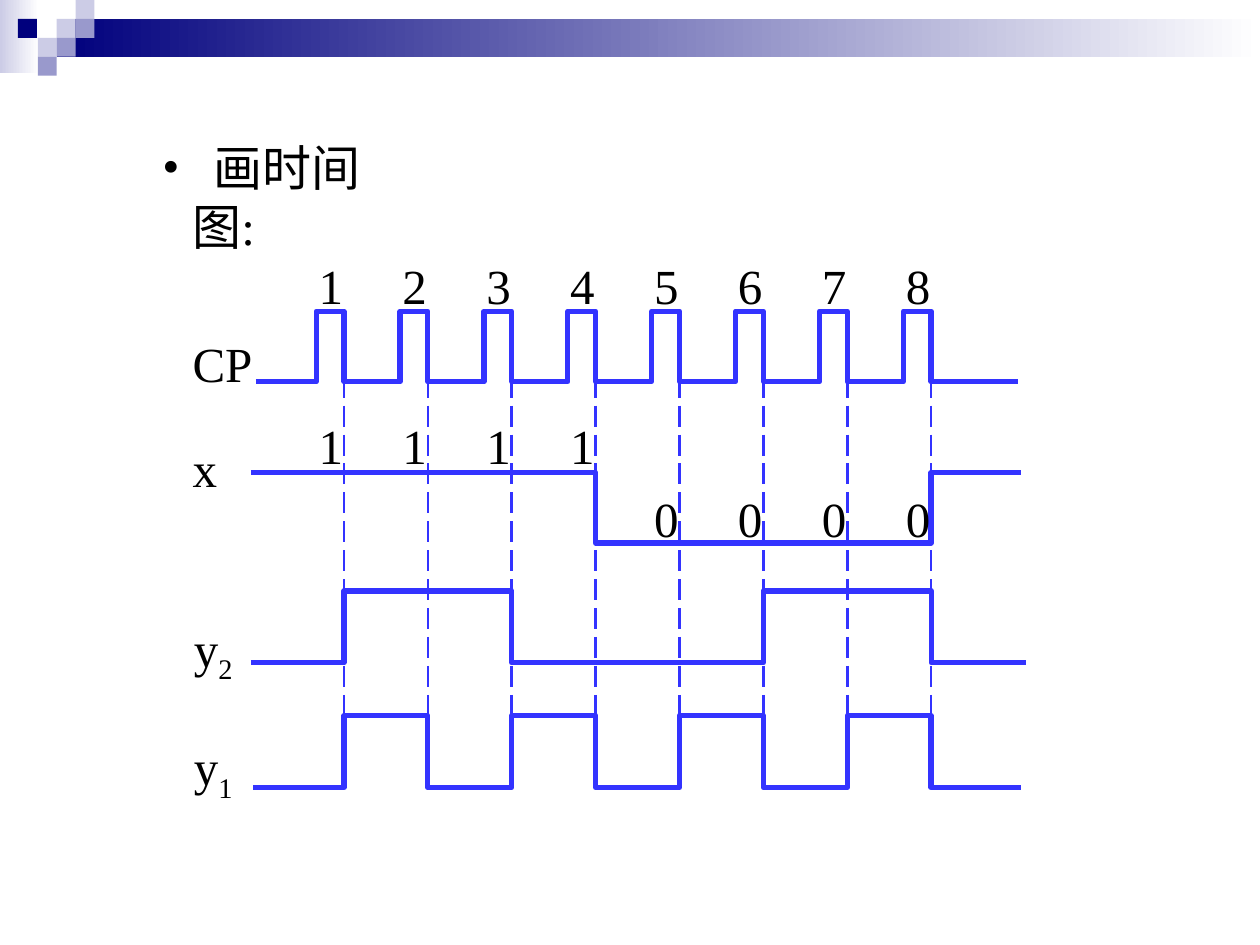
"""Build a slide with a timing diagram of a clock, one input and two outputs."""
from lxml.etree import SubElement
from pptx import Presentation
from pptx.dml.color import RGBColor as Rgb
from pptx.enum.dml import MSO_LINE_DASH_STYLE as Dash
from pptx.enum.shapes import MSO_CONNECTOR as Connector, MSO_SHAPE as Preset
from pptx.enum.text import MSO_AUTO_SIZE as AutoSize
from pptx.oxml.ns import qn
from pptx.util import Inches, Pt

COLORS = {"navy": "00007D", "pale": "CCCCE6", "mid": "9999CC",
          "white": "FFFFFF", "wave": "3333FF", "text": "000000"}
HEADING = "画时间图:"
PULSES = "12345678"
INPUT_HIGH, INPUT_LOW = "1111", "0000"
LABELS = [("CP", "", 1.43, 2.6), ("x", "", 1.43, 3.43),
          ("y", "2", 1.44, 4.86), ("y", "1", 1.44, 5.8)]
LABEL_WIDTH = 0.75

UNIT = 0.15
BANDS = [(0, 0, 0.31, 0.58, "pale"), (3 * UNIT, UNIT, 9.55, 2 * UNIT, "navy")]
TILES = [(3, 1, "pale"), (4, 0, "pale"), (4, 1, "mid"), (2, 2, "pale"),
         (0.95, 1, "navy"), (3, 2, "mid"), (2, 3, "mid")]

FIRST_EDGE, LAST_EDGE, PULSE_WIDTH = 2.73, 7.39, 0.22
PERIOD = (LAST_EDGE - FIRST_EDGE) / (len(PULSES) - 1)
EDGES = [FIRST_EDGE + PERIOD * index for index in range(len(PULSES))]
GUIDE_TOP, GUIDE_BOTTOM = 2.76, 6.23
DIGIT_LEFT, DIGIT_WIDTH, TEXT_HEIGHT = 2.43, 0.39, 0.57
DIGIT_ROWS = [(PULSES, 0, 1.98), (INPUT_HIGH, 0, 3.25), (INPUT_LOW, 4, 3.83)]
CLOCK_EDGES = [x for edge in EDGES for x in (edge - PULSE_WIDTH, edge)]
WAVES = [
    {"span": (1.99, 8.1), "levels": (3.75, 4.31), "edges": [EDGES[3], EDGES[7]]},
    {"span": (1.99, 8.14), "levels": (5.26, 4.69), "edges": [EDGES[i] for i in (0, 2, 5, 7)]},
    {"span": (2.01, 8.1), "levels": (6.25, 5.68), "edges": EDGES},
    {"span": (2.03, 8.08), "levels": (3.03, 2.47), "edges": CLOCK_EDGES},
]
FONT = {"name": "Times New Roman", "size": Pt(28)}
BULLET_INDENT, HEADING_TAB, HEADING_WIDTH = 0.24, 0.41, 2.0


def color(name):
    return Rgb.from_string(COLORS[name])


def add_block(slide, left, top, width, height, name, fade=False):
    shape = slide.shapes.add_shape(Preset.RECTANGLE, *map(Inches, (left, top, width, height)))
    shape.shadow.inherit = False
    shape.line.fill.background()
    if fade:
        shape.fill.gradient()
        shape.fill.gradient_angle = 0
        for stop, position, stop_name in zip(shape.fill.gradient_stops, (0, 1), (name, "white")):
            stop.position = position
            stop.color.rgb = color(stop_name)
    else:
        shape.fill.solid()
        shape.fill.fore_color.rgb = color(name)


def add_run(paragraph, text, subscript=False):
    run = paragraph.add_run()
    run.text = text
    for key, value in FONT.items():
        setattr(run.font, key, value)
    run.font.color.rgb = color("text")
    if subscript:
        run.font._element.set("baseline", "-25000")


def add_text(slide, text, left, top, width, subscript="", wrap=True):
    box = slide.shapes.add_textbox(*map(Inches, (left, top, width, TEXT_HEIGHT)))
    frame = box.text_frame
    frame.word_wrap = wrap
    frame.auto_size = AutoSize.SHAPE_TO_FIT_TEXT
    paragraph = frame.paragraphs[0]
    add_run(paragraph, text)
    if subscript:
        add_run(paragraph, subscript, True)
    return paragraph


def add_bullet(paragraph):
    properties = paragraph._p.get_or_add_pPr()
    properties.set("marL", str(Inches(BULLET_INDENT)))
    properties.set("indent", str(-Inches(BULLET_INDENT)))
    SubElement(properties, qn("a:buFont"), typeface=FONT["name"])
    SubElement(properties, qn("a:buChar"), char="•")
    tabs = SubElement(properties, qn("a:tabLst"))
    SubElement(tabs, qn("a:tab"), pos=str(Inches(HEADING_TAB)), algn="l")


def add_guide(slide, x):
    ends = map(Inches, (x, GUIDE_TOP, x, GUIDE_BOTTOM))
    guide = slide.shapes.add_connector(Connector.STRAIGHT, *ends)
    SubElement(guide._element.spPr, qn("a:effectLst"))
    guide.line.color.rgb = color("wave")
    guide.line.width = Pt(1.5)
    guide.line.dash_style = Dash.LONG_DASH


def add_wave(slide, span, levels, edges):
    points = [(span[0], levels[0])]
    for index, x in enumerate(edges):
        points += [(x, levels[index % 2]), (x, levels[(index + 1) % 2])]
    points.append((span[1], levels[len(edges) % 2]))
    points = [(Inches(x), Inches(y)) for x, y in points]
    builder = slide.shapes.build_freeform(*points[0])
    builder.add_line_segments(points[1:], close=False)
    wave = builder.convert_to_shape()
    wave.shadow.inherit = False
    wave.fill.background()
    wave.line.color.rgb = color("wave")
    wave.line.width = Pt(3)
    SubElement(wave.line._ln, qn("a:round"))


def main():
    presentation = Presentation()
    presentation.slide_width, presentation.slide_height = Inches(10), Inches(7.5)
    slide = presentation.slides.add_slide(presentation.slide_layouts[6])
    for band in BANDS:
        add_block(slide, *band, fade=True)
    for column, row, name in TILES:
        add_block(slide, column * UNIT, row * UNIT, UNIT, UNIT, name)
    add_bullet(add_text(slide, "\t" + HEADING, 1.19, 1.04, HEADING_WIDTH))
    for edge in EDGES:
        add_guide(slide, edge)
    for wave in WAVES:
        add_wave(slide, **wave)
    for digits, first, top in DIGIT_ROWS:
        for column, digit in enumerate(digits, first):
            add_text(slide, digit, DIGIT_LEFT + PERIOD * column, top, DIGIT_WIDTH, wrap=False)
    for text, subscript, left, top in LABELS:
        add_text(slide, text, left, top, LABEL_WIDTH, subscript)
    presentation.save("out.pptx")


if __name__ == "__main__":
    main()
